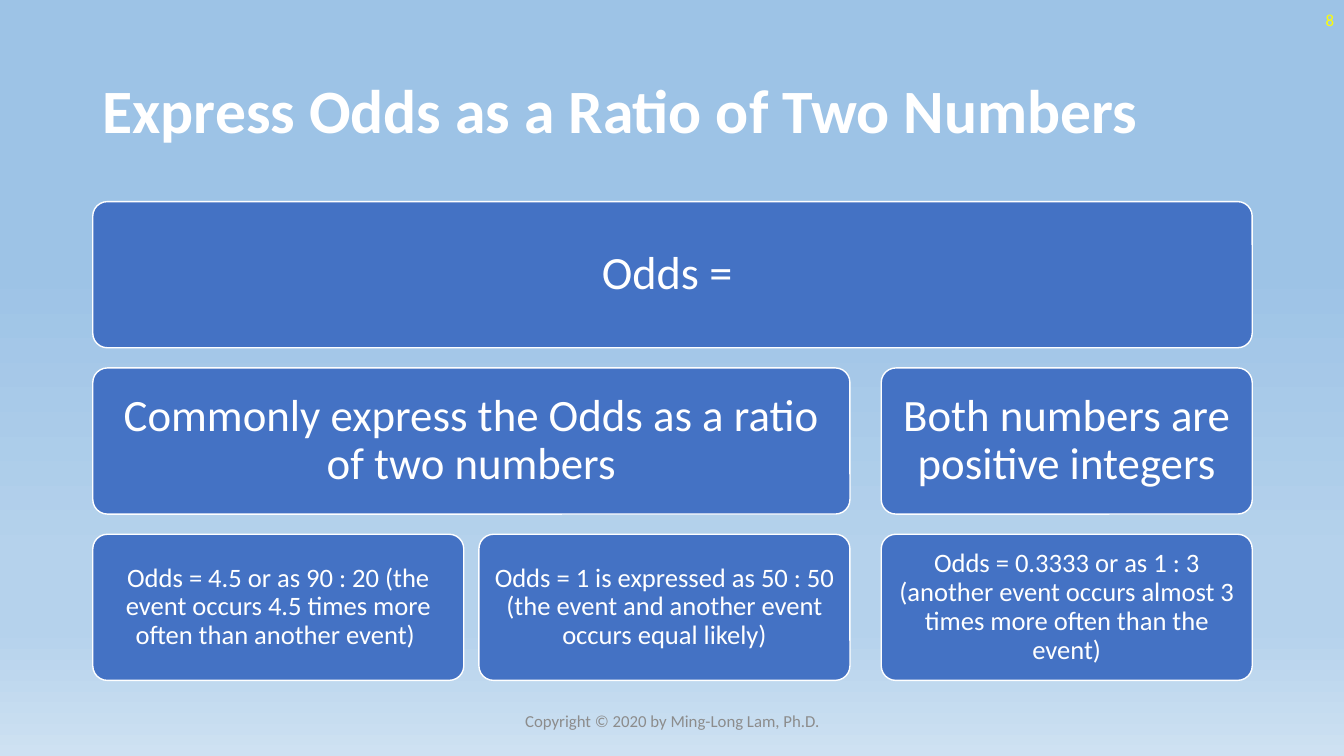
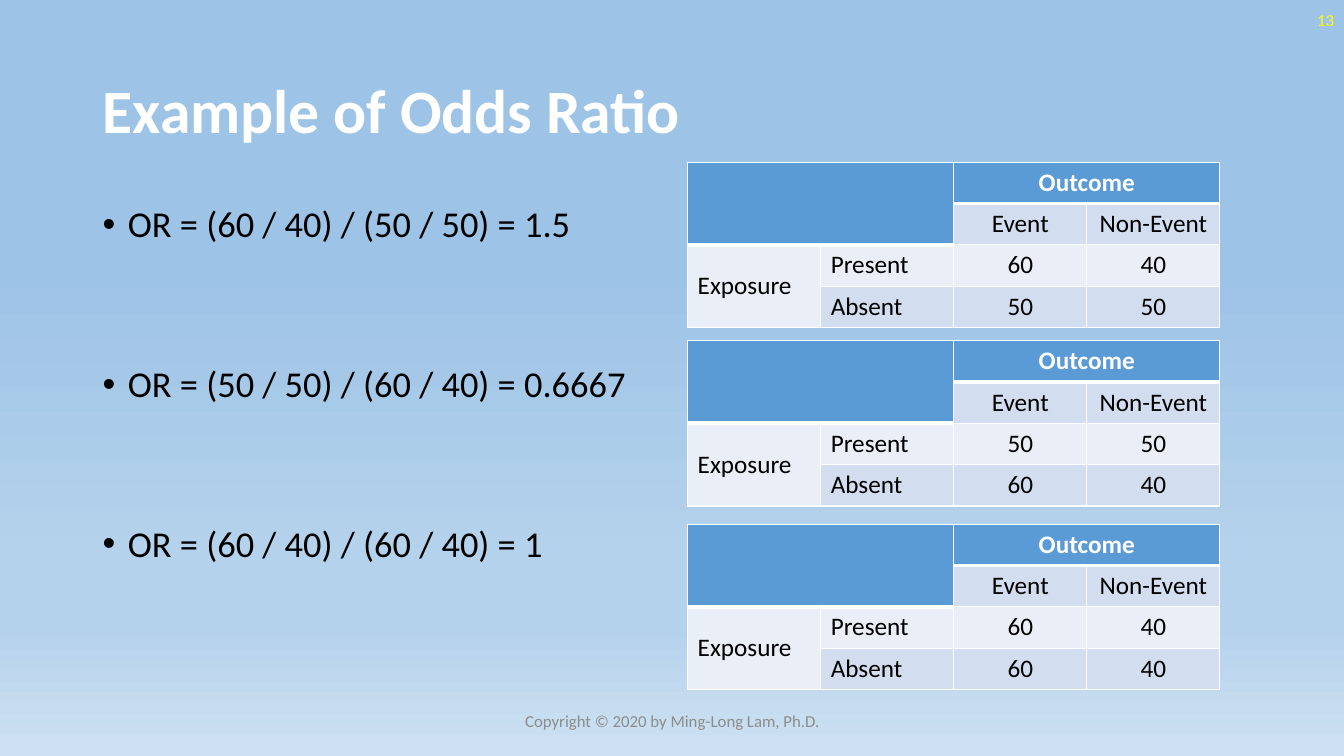
"""Build two slides on odds and the odds ratio."""
from lxml import etree
from pptx import Presentation
from pptx.dml.color import RGBColor
from pptx.enum import shapes, text
from pptx.oxml import ns
from pptx.util import Inches, Pt

FONT = "Calibri"
WHITE, BLACK, YELLOW, GREY = "FFFFFF", "000000", "FFFF00", "8C8C8C"
BLUE, HEAD, DARK, LIGHT = "4472C4", "5B9BD5", "D2DEEF", "EAEFF7"
SKY = [(35, "9DC3E6"), (74, "B5D2EC"), (83, "B5D2EC"), (100, "CEE1F2")]
LEFT, CENTER, RIGHT = text.PP_ALIGN.LEFT, text.PP_ALIGN.CENTER, text.PP_ALIGN.RIGHT
MIDDLE, TOP = text.MSO_ANCHOR.MIDDLE, text.MSO_ANCHOR.TOP
FOOTER = "Copyright © 2020 by Ming-Long Lam, Ph.D."

COLS, BOX_W, BOX_H = (0.92, 4.75, 8.74), 3.68, 1.45
ROW_TOP, ROW_STEP = 2, 1.65
STYLES = [(33, 0.14), (32, 0.13), (19, 0.08)]
BOXES = [
    (0, 0, 3, "Odds = "),
    (1, 0, 2, "Commonly express the Odds as a ratio of two numbers"),
    (1, 2, 1, "Both numbers are positive integers"),
    (2, 0, 1, "Odds = 4.5 or as 90 : 20 (the event occurs 4.5 times more often than another event) "),
    (2, 1, 1, "Odds = 1 is expressed as 50 : 50 (the event and another event occurs equal likely)"),
    (2, 2, 1, "Odds = 0.3333 or as 1 : 3 (another event occurs almost 3 times more often than the event)"),
]

RATIOS = [
    "OR = (60 / 40) / (50 / 50) = 1.5",
    "OR = (50 / 50) / (60 / 40) = 0.6667",
    "OR = (60 / 40) / (60 / 40) = 1",
]
TABLES = [
    (1.61, ("60", "40"), ("50", "50")),
    (3.38, ("50", "50"), ("60", "40")),
    (5.2, ("60", "40"), ("60", "40")),
]
TABLE_X, CELL_W, CELL_H = 6.82, 1.32, 0.41
MERGES = [(0, 0, 1, 1), (0, 2, 0, 3), (2, 0, 3, 0)]


def rgb(code):
    """Turn a hex string into a colour."""
    return RGBColor.from_string(code)


def sub(node, tag, **attrs):
    """Add a drawing element below a node."""
    return etree.SubElement(node, ns.qn(tag), attrs)


def style(para, size, color, align=LEFT, bold=False, line=None):
    """Format a paragraph and its runs."""
    para.alignment = align
    para.line_spacing = line
    for run in para.runs:
        run.font.name, run.font.size, run.font.bold = FONT, Pt(size), bold
        run.font.color.rgb = rgb(color)


def label(slide, area, words, size, color, anchor=MIDDLE, **look):
    """Add a wrapped text box and return its frame."""
    frame = slide.shapes.add_textbox(*map(Inches, area)).text_frame
    frame.word_wrap, frame.vertical_anchor = True, anchor
    frame.text = words
    for para in frame.paragraphs:
        style(para, size, color, **look)
    return frame


def paint(master):
    """Give the master its sky gradient."""
    fill = master.background.fill
    fill.gradient()
    fill.gradient_angle = 270
    stops = next(master.element.iter(ns.qn("a:gsLst")))
    for stop in list(stops):
        stops.remove(stop)
    for pos, code in SKY:
        sub(sub(stops, "a:gs", pos=str(pos * 1000)), "a:srgbClr", val=code)


def start(deck, title, number):
    """Add a slide with title, number and footer."""
    slide = deck.slides.add_slide(deck.slide_layouts[6])
    label(slide, (0.92, 0.4, 11.5, 1.45), title, 44, WHITE, bold=True, line=0.9)
    label(slide, (10.33, 0, 3, 0.4), number, 12, YELLOW, align=RIGHT)
    label(slide, (4.42, 6.95, 4.5, 0.4), FOOTER, 12, GREY, align=CENTER)
    return slide


def box(slide, row, col, span, words):
    """Add one rounded box of the hierarchy."""
    size, inset = STYLES[row]
    width = COLS[col + span - 1] + BOX_W - COLS[col]
    area = (COLS[col], ROW_TOP + row * ROW_STEP, width, BOX_H)
    shape = slide.shapes.add_shape(shapes.MSO_SHAPE.ROUNDED_RECTANGLE, *map(Inches, area))
    shape.adjustments[0] = 0.1
    shape.shadow.inherit = False
    shape.fill.solid()
    shape.fill.fore_color.rgb = rgb(BLUE)
    shape.line.color.rgb, shape.line.width = rgb(WHITE), Pt(1)
    frame = shape.text_frame
    frame.word_wrap, frame.vertical_anchor = True, MIDDLE
    frame.margin_left = frame.margin_right = Inches(inset)
    frame.margin_top = frame.margin_bottom = Inches(inset)
    frame.text = words
    style(frame.paragraphs[0], size, WHITE, CENTER, line=0.9)


def bullets(slide):
    """List the ratios, one beside each table."""
    area = (0.92, 2, 5.59, 4.76)
    frame = label(slide, area, "\n".join(RATIOS), 26, BLACK, TOP, line=0.9)
    for i, para in enumerate(frame.paragraphs):
        para.space_before = Pt(86 if i else 0)
        props = para._p.get_or_add_pPr()
        props.set("marL", str(Inches(0.25)))
        props.set("indent", str(-Inches(0.25)))
        sub(props, "a:buFont", typeface="Arial")
        sub(props, "a:buChar", char="•")


def is_head(row, col):
    """Tell whether a cell is in the header."""
    return row == 0 or (row == 1 and col < 2)


def edge(cell, above, below):
    """Draw white borders round a cell."""
    props = cell._tc.get_or_add_tcPr()
    sides = (("L", 1), ("R", 1), ("T", above), ("B", below))
    for i, (side, width) in enumerate(sides):
        line = sub(props, "a:ln" + side, w=str(Pt(width)))
        sub(sub(line, "a:solidFill"), "a:srgbClr", val=WHITE)
        props.insert(i, line)


def grid(slide, top, present, absent):
    """Add one exposure by outcome table."""
    rows = [
        ("", "", "Outcome", ""),
        ("", "", "Event", "Non-Event"),
        ("Exposure", "Present", *present),
        ("", "Absent", *absent),
    ]
    area = (TABLE_X, top, 4 * CELL_W, 4 * CELL_H)
    table = slide.shapes.add_table(4, 4, *map(Inches, area)).table
    for r, row in enumerate(rows):
        for c, words in enumerate(row):
            cell, head = table.cell(r, c), is_head(r, c)
            cell.text = words
            cell.fill.solid()
            cell.fill.fore_color.rgb = rgb(HEAD if head else DARK if r % 2 else LIGHT)
            style(cell.text_frame.paragraphs[0], 18, WHITE if head else BLACK,
                  CENTER if c > 1 else LEFT, head)
            edge(cell, 3 if r and is_head(r - 1, c) else 1, 3 if head else 1)
    for r, c, last, end in MERGES:
        table.cell(r, c).merge(table.cell(last, end))
    table.cell(2, 0).vertical_anchor = MIDDLE


def main():
    """Build and save the deck."""
    deck = Presentation()
    deck.slide_width, deck.slide_height = Inches(13.33), Inches(7.5)
    paint(deck.slide_master)
    slide = start(deck, "Express Odds as a Ratio of Two Numbers", "8")
    for item in BOXES:
        box(slide, *item)
    slide = start(deck, "Example of Odds Ratio", "13")
    bullets(slide)
    for item in TABLES:
        grid(slide, *item)
    deck.save("out.pptx")


if __name__ == "__main__":
    main()
